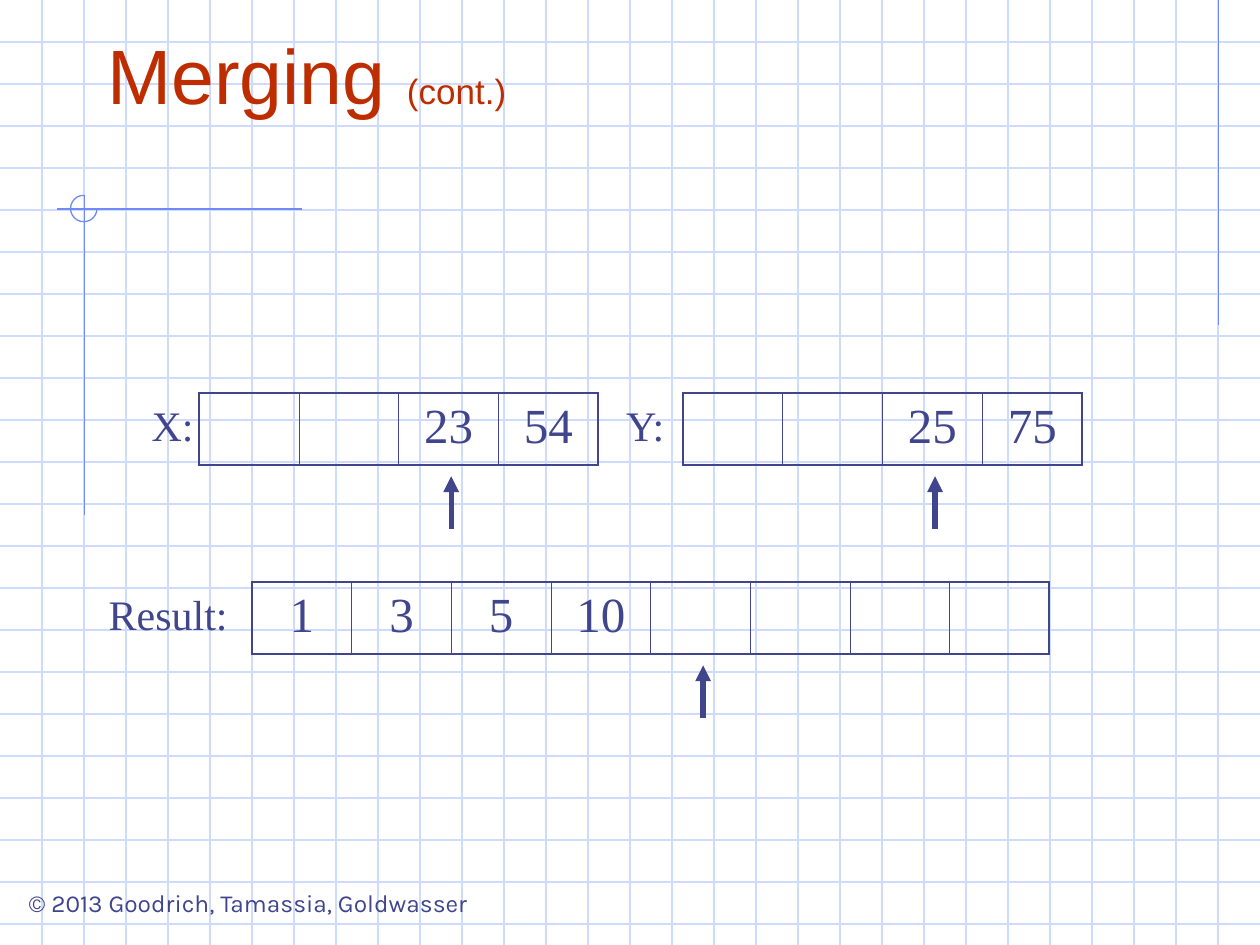
from lxml.etree import SubElement
from pptx import Presentation
from pptx.dml.color import RGBColor
from pptx.enum.shapes import MSO_CONNECTOR, MSO_SHAPE
from pptx.enum.text import MSO_ANCHOR, PP_ALIGN
from pptx.oxml import parse_xml
from pptx.oxml.ns import nsdecls, qn
from pptx.util import Inches, Pt

GRID = RGBColor(0xCF, 0xDB, 0xFD)
TRIM = RGBColor(0x6F, 0x89, 0xF7)
INK = RGBColor(0x40, 0x45, 0x8C)
RUST = RGBColor(0xBE, 0x2D, 0x00)
WIDE, HIGH = 10, 7.5
SERIF = "Times New Roman"


def add_run(para, text, size, font, color):
    run = para.add_run()
    run.text = text
    run.font.size = Pt(size)
    run.font.name = font
    run.font.color.rgb = color


def add_line(slide, x1, y1, x2, y2, color, width=0.75, arrow=False):
    line = slide.shapes.add_connector(
        MSO_CONNECTOR.STRAIGHT, Inches(x1), Inches(y1), Inches(x2), Inches(y2))
    line.line.color.rgb = color
    line.line.width = Pt(width)
    props = line.element.spPr
    if arrow:
        SubElement(props.find(qn("a:ln")), qn("a:tailEnd"), type="triangle")
    SubElement(props, qn("a:effectLst"))


def add_label(slide, text, left, top, width, height, size, font, wrap=True):
    box = slide.shapes.add_textbox(
        Inches(left), Inches(top), Inches(width), Inches(height))
    box.text_frame.word_wrap = wrap
    para = box.text_frame.paragraphs[0]
    para.alignment = PP_ALIGN.CENTER
    add_run(para, text, size, font, INK)


def add_paper(slide, width, height, step):
    # Squared paper
    for i in range(1, int(height / step) + 1):
        add_line(slide, 0, i * step, width, i * step, GRID)
    for i in range(1, int(width / step)):
        add_line(slide, i * step, 0, i * step, height, GRID)

    # Trim lines and the open ring where two of them cross
    add_line(slide, 9.67, 0, 9.67, 2.58, TRIM)
    add_line(slide, 2.4, 1.66, 0.45, 1.66, TRIM)
    add_line(slide, 0.67, 1.55, 0.67, 4.09, TRIM)
    ring = slide.shapes.add_shape(
        MSO_SHAPE.ARC, Inches(0.56), Inches(1.55), Inches(0.21), Inches(0.21))
    ring.adjustments[0] = 0
    ring.adjustments[1] = 162  # 270 degrees
    ring.fill.background()
    ring.line.color.rgb = TRIM
    ring.line.width = Pt(0.75)
    ring.shadow.inherit = False


def add_title(slide, left, top, width, height):
    title = slide.shapes.title
    title.left, title.top = Inches(left), Inches(top)
    title.width, title.height = Inches(width), Inches(height)
    frame = title.text_frame
    frame.vertical_anchor = MSO_ANCHOR.BOTTOM
    para = frame.paragraphs[0]
    para.alignment = PP_ALIGN.LEFT
    add_run(para, "Merging ", 44, "Arial", RUST)
    add_run(para, "(cont.)", 20, "Arial", RUST)
    # Bring the title in front of the paper
    title.element.getparent().append(title.element)


def set_edges(cell, first, last):
    thin, thick = Pt(0.45), Pt(1.08)
    edges = {"lnL": thick if first else thin, "lnR": thick if last else thin,
             "lnT": thick, "lnB": thick}
    props = cell._tc.get_or_add_tcPr()
    for i, (side, width) in enumerate(edges.items()):
        props.insert(i, parse_xml(
            f'<a:{side} {nsdecls("a")} w="{width}"><a:solidFill>'
            f'<a:srgbClr val="{INK}"/></a:solidFill></a:{side}>'))


def add_array(slide, values, spot, left, top, width, height):
    # Row of cells
    count = len(values)
    table = slide.shapes.add_table(
        1, count, Inches(left), Inches(top), Inches(width), Inches(height)).table
    table.first_row = table.horz_banding = False
    for i, value in enumerate(values):
        cell = table.cell(0, i)
        cell.fill.background()
        set_edges(cell, i == 0, i == count - 1)
        if value:
            para = cell.text_frame.paragraphs[0]
            para.alignment = PP_ALIGN.CENTER
            add_run(para, value, 28, SERIF, INK)

    # Arrow under the current cell
    x = left + (spot + 0.5) * width / count + 0.02
    add_line(slide, x, top + 1.08, x, top + 0.66, INK, 3, arrow=True)


def main():
    deck = Presentation()
    deck.slide_width, deck.slide_height = Inches(WIDE), Inches(HIGH)
    slide = deck.slides.add_slide(deck.slide_layouts[5])

    add_paper(slide, WIDE, HIGH, 1 / 3)
    add_label(slide, "© 2013 Goodrich, Tamassia, Goldwasser",
              0.03, 7, 3.88, 0.34, 14, "Karla", wrap=False)
    add_title(slide, 0.75, 0.17, 8.5, 0.83)

    add_array(slide, ["", "", "23", "54"], 2, 1.58, 3.12, 3.17, 0.57)
    add_array(slide, ["", "", "25", "75"], 2, 5.42, 3.12, 3.17, 0.57)
    add_array(slide, ["1", "3", "5", "10", "", "", "", ""], 4,
              2, 4.62, 6.33, 0.57)

    for text, left, top, width in [("X:", 1.08, 3.12, 0.58),
                                   ("Y:", 4.83, 3.12, 0.58),
                                   ("Result:", 0.75, 4.62, 1.17)]:
        add_label(slide, text, left, top, width, 0.5, 24, SERIF)

    deck.save("out.pptx")


if __name__ == "__main__":
    main()
